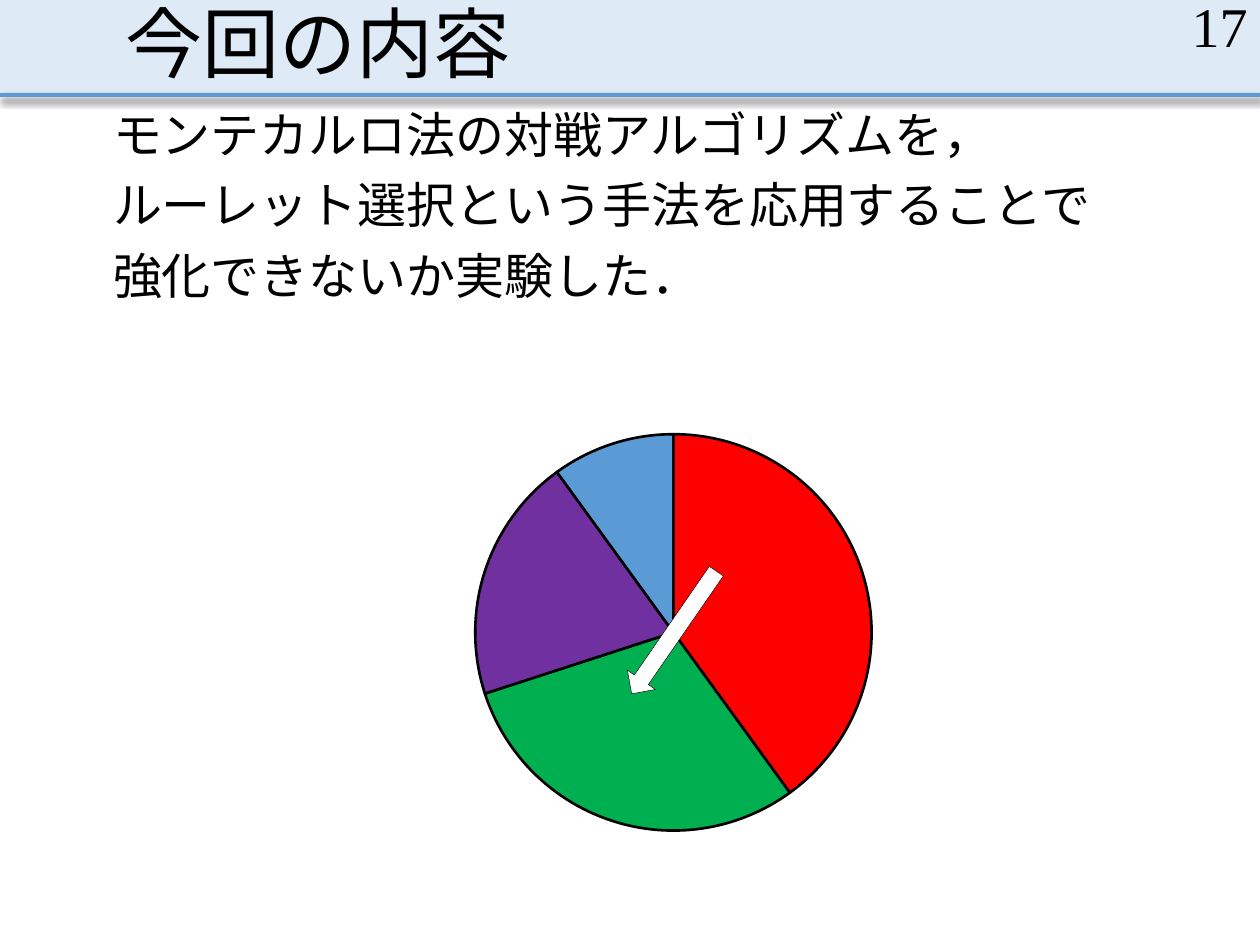
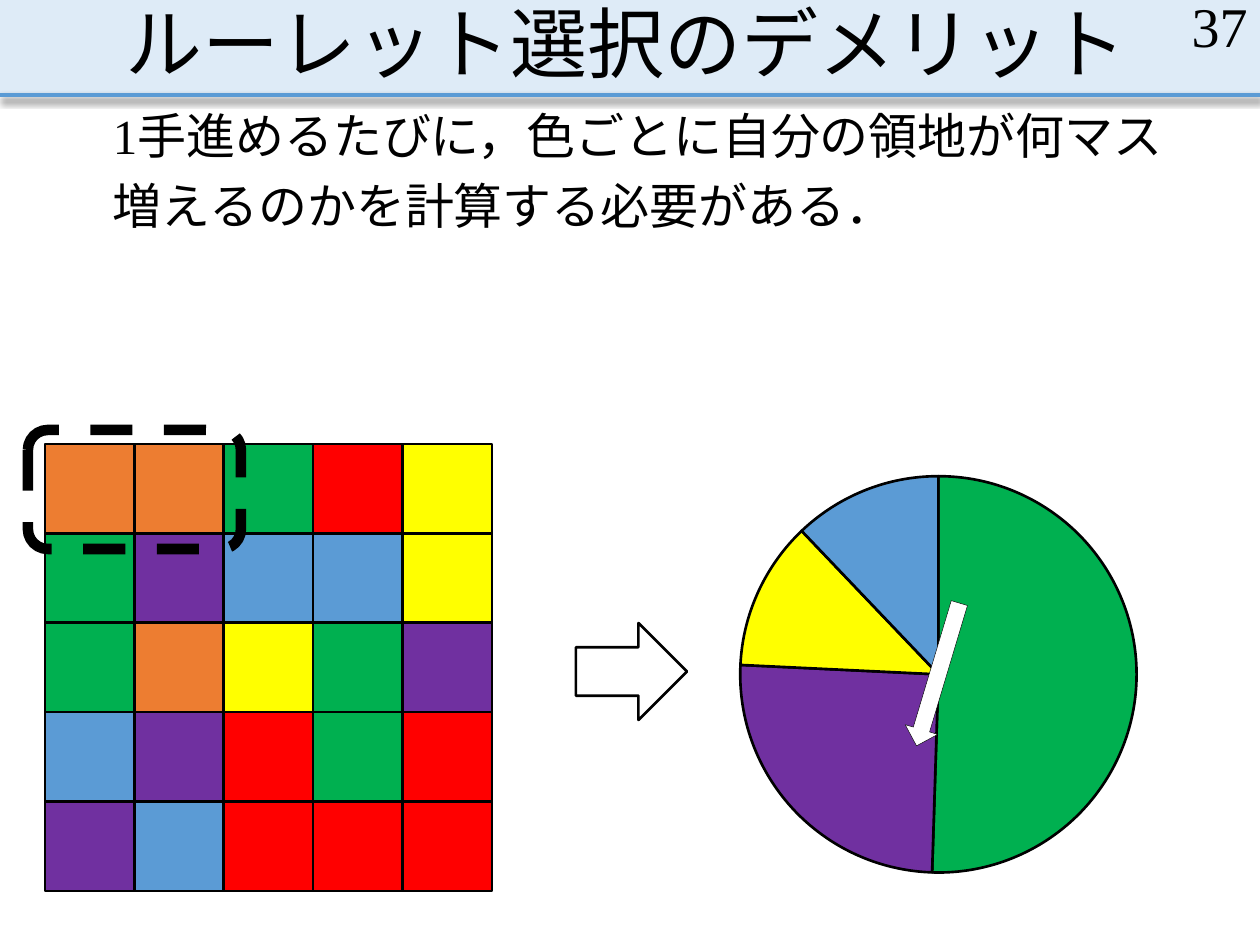
from dataclasses import dataclass

from lxml.etree import SubElement
from pptx import Presentation
from pptx.chart.data import CategoryChartData
from pptx.dml.color import RGBColor
from pptx.enum.chart import XL_CHART_TYPE
from pptx.enum.dml import MSO_LINE
from pptx.enum.lang import MSO_LANGUAGE_ID
from pptx.enum.shapes import MSO_CONNECTOR, MSO_SHAPE
from pptx.enum.text import MSO_ANCHOR, MSO_AUTO_SIZE, PP_ALIGN
from pptx.oxml import parse_xml
from pptx.oxml.ns import nsdecls, qn
from pptx.util import Pt

EMU_PER_PX = 914400 / 126
TITLE_ONLY = 5


@dataclass(frozen=True)
class Theme:
    """Colours, font, type sizes and line widths of the slides."""

    font: str = "Times New Roman"
    ink: str = "000000"
    white: str = "FFFFFF"
    band: str = "DEEBF7"
    red: str = "FF0000"
    green: str = "00B050"
    purple: str = "7030A0"
    blue: str = "5B9BD5"
    yellow: str = "FFFF00"
    orange: str = "ED7D31"
    title_size: int = 44
    number_size: int = 32
    body_size: int = 28
    chart_size: int = 10
    thin: float = 0.25
    outline: float = 1.5
    rule: float = 2.25
    marker: int = 6


THEME = Theme()
SLIDE_WIDTH, SLIDE_HEIGHT = 1260, 945
BAND_HEIGHT = 95
TEXT_LEFT = 113
CELL_COLOURS = {
    "O": THEME.orange, "G": THEME.green, "R": THEME.red,
    "Y": THEME.yellow, "P": THEME.purple, "B": THEME.blue,
}
BOARD_ROWS = ("OOGRY", "GPBBY", "GOYGP", "BPRGR", "PBRRR")


def px(value):
    """Turn a length in px into EMU."""
    return round(value * EMU_PER_PX)


def box(left, top, width, height):
    """Turn a px rectangle into EMU arguments."""
    return tuple(px(value) for value in (left, top, width, height))


def colour(code):
    """Turn a hex code into a colour."""
    return RGBColor.from_string(code)


def outline(line, width, code=THEME.ink):
    """Set the colour and width of a line."""
    line.color.rgb = colour(code)
    line.width = Pt(width)


def add_figure(shapes, kind, place, fill=None, width=None, rotation=0):
    """Add a flat preset shape with an optional fill and outline."""
    shape = shapes.add_shape(kind, *box(*place))
    shape.shadow.inherit = False
    shape.rotation = rotation
    if fill:
        shape.fill.solid()
        shape.fill.fore_color.rgb = colour(fill)
    else:
        shape.fill.background()
    if width:
        outline(shape.line, width)
    else:
        shape.line.fill.background()
    return shape


def format_runs(paragraph, size):
    """Give the runs of a paragraph the theme font."""
    for run in paragraph.runs:
        run.font.name = THEME.font
        run.font.size = Pt(size)
        run.font.color.rgb = colour(THEME.ink)
        run.font.language_id = MSO_LANGUAGE_ID.JAPANESE


def add_band(slide):
    """Put the title band and its shadowed rule behind the title."""
    band = add_figure(slide.shapes, MSO_SHAPE.RECTANGLE,
                      (0, 0, SLIDE_WIDTH, BAND_HEIGHT), THEME.band)
    rule = slide.shapes.add_connector(
        MSO_CONNECTOR.STRAIGHT, *box(0, BAND_HEIGHT, SLIDE_WIDTH, BAND_HEIGHT))
    outline(rule.line, THEME.rule, THEME.blue)
    effects = SubElement(rule.element.spPr, qn("a:effectLst"))
    effects.append(parse_xml(
        f'<a:outerShdw {nsdecls("a")} blurRad="{Pt(4)}" dist="{Pt(2.5)}" '
        f'dir="5400000" algn="t" rotWithShape="0"><a:srgbClr val="{THEME.ink}">'
        '<a:alpha val="47000"/></a:srgbClr></a:outerShdw>'))
    for part in (band, rule):
        slide.shapes.title.element.addprevious(part.element)


def set_title(slide, text):
    """Move, fill and format the title placeholder."""
    title = slide.shapes.title
    title.left, title.top, title.width, title.height = box(
        TEXT_LEFT, 0, 1040, BAND_HEIGHT)
    frame = title.text_frame
    frame.text = text
    frame.auto_size = MSO_AUTO_SIZE.NONE
    frame.vertical_anchor = MSO_ANCHOR.BOTTOM
    paragraph = frame.paragraphs[0]
    paragraph.alignment = PP_ALIGN.LEFT
    paragraph.line_spacing = 0.9
    format_runs(paragraph, THEME.title_size)


def add_page_number(slide, number):
    """Add the page number at the top right."""
    frame = slide.shapes.add_textbox(*box(976, 0, 284, 50)).text_frame
    frame.word_wrap = True
    frame.vertical_anchor = MSO_ANCHOR.MIDDLE
    frame.text = str(number)
    frame.paragraphs[0].alignment = PP_ALIGN.RIGHT
    format_runs(frame.paragraphs[0], THEME.number_size)


def add_body(slide, place, lines):
    """Add the body text, one paragraph for each line."""
    frame = slide.shapes.add_textbox(*box(*place)).text_frame
    frame.word_wrap = True
    frame.margin_left = frame.margin_right = 0
    frame.text = "\n".join(lines)
    for paragraph in frame.paragraphs:
        paragraph.line_spacing = 0.9
        paragraph.space_before = Pt(10)
        format_runs(paragraph, THEME.body_size)


def add_roulette(slide, left, top, shares):
    """Add a pie chart from pairs of colour and share."""
    data = CategoryChartData()
    data.categories = [str(index + 1) for index in range(len(shares))]
    data.add_series("Series 1", [share for _, share in shares])
    chart = slide.shapes.add_chart(
        XL_CHART_TYPE.PIE, *box(left, top, 431, 461), data).chart
    chart.has_legend = False
    chart.has_title = False
    chart.font.name = THEME.font
    chart.font.size = Pt(THEME.chart_size)
    chart.font.color.rgb = colour(THEME.ink)
    plot = chart.plots[0]
    plot.vary_by_categories = False
    for index, (code, _) in enumerate(shares):
        slice_format = plot.series[0].points[index].format
        slice_format.fill.solid()
        slice_format.fill.fore_color.rgb = colour(code)
        outline(slice_format.line, THEME.outline)
    fit_plot(chart)


def fit_plot(chart):
    """Fix the inner plot area so that the pie nearly fills the chart."""
    area = chart.element.find(".//" + qn("c:plotArea"))
    for old_layout in area.findall(qn("c:layout")):
        area.remove(old_layout)
    area.insert(0, parse_xml(
        f'<c:layout {nsdecls("c")}><c:manualLayout>'
        '<c:layoutTarget val="inner"/><c:xMode val="edge"/><c:yMode val="edge"/>'
        '<c:x val="0.04"/><c:y val="0.07"/><c:w val="0.92"/><c:h val="0.86"/>'
        '</c:manualLayout></c:layout>'))


def add_needle(slide, left, top, rotation):
    """Add the turned arrow of a roulette."""
    add_figure(slide.shapes, MSO_SHAPE.DOWN_ARROW, (left, top, 34, 149),
               THEME.white, THEME.thin, rotation)


def add_board(slide, left, top, size):
    """Add the grouped square board of coloured cells."""
    group = slide.shapes.add_group_shape()
    cell = size / len(BOARD_ROWS)
    for row, codes in enumerate(BOARD_ROWS):
        for column, code in enumerate(codes):
            place = (left + column * cell, top + row * cell, cell, cell)
            add_figure(group.shapes, MSO_SHAPE.RECTANGLE, place,
                       CELL_COLOURS[code], THEME.outline)


def add_slide(presentation, title, number):
    """Add a slide with band, title and page number."""
    slide = presentation.slides.add_slide(presentation.slide_layouts[TITLE_ONLY])
    add_band(slide)
    set_title(slide, title)
    add_page_number(slide, number)
    return slide


def add_overview(presentation):
    """Build the slide on the topic of this talk."""
    slide = add_slide(presentation, "今回の内容", 17)
    add_body(slide, (TEXT_LEFT, 105, 1040, 704), (
        "モンテカルロ法の対戦アルゴリズムを，",
        "ルーレット選択という手法を応用することで",
        "強化できないか実験した．",
    ))
    add_roulette(slide, 458, 402, (
        (THEME.red, 40), (THEME.green, 30), (THEME.purple, 20), (THEME.blue, 10)))
    add_needle(slide, 657, 558, 34.6)


def add_drawback(presentation):
    """Build the slide on the drawback of roulette selection."""
    slide = add_slide(presentation, "ルーレット選択のデメリット", 37)
    add_board(slide, 45, 444, 447)
    add_roulette(slide, 723, 444, (
        (THEME.green, 50), (THEME.purple, 25),
        (THEME.yellow, 12), (THEME.blue, 12)))
    add_figure(slide.shapes, MSO_SHAPE.RIGHT_ARROW, (576, 623, 111, 97),
               THEME.white, THEME.outline)
    add_needle(slide, 921, 600, 16.7)
    territory = add_figure(slide.shapes, MSO_SHAPE.ROUNDED_RECTANGLE,
                           (28, 430, 213, 119), width=THEME.marker)
    territory.line.dash_style = MSO_LINE.DASH
    add_body(slide, (TEXT_LEFT, 106, 1070, 137), (
        "1手進めるたびに，色ごとに自分の領地が何マス",
        "増えるのかを計算する必要がある．",
    ))


def main():
    """Build and save the presentation."""
    presentation = Presentation()
    presentation.slide_width = px(SLIDE_WIDTH)
    presentation.slide_height = px(SLIDE_HEIGHT)
    add_overview(presentation)
    add_drawback(presentation)
    presentation.save("out.pptx")


if __name__ == "__main__":
    main()
